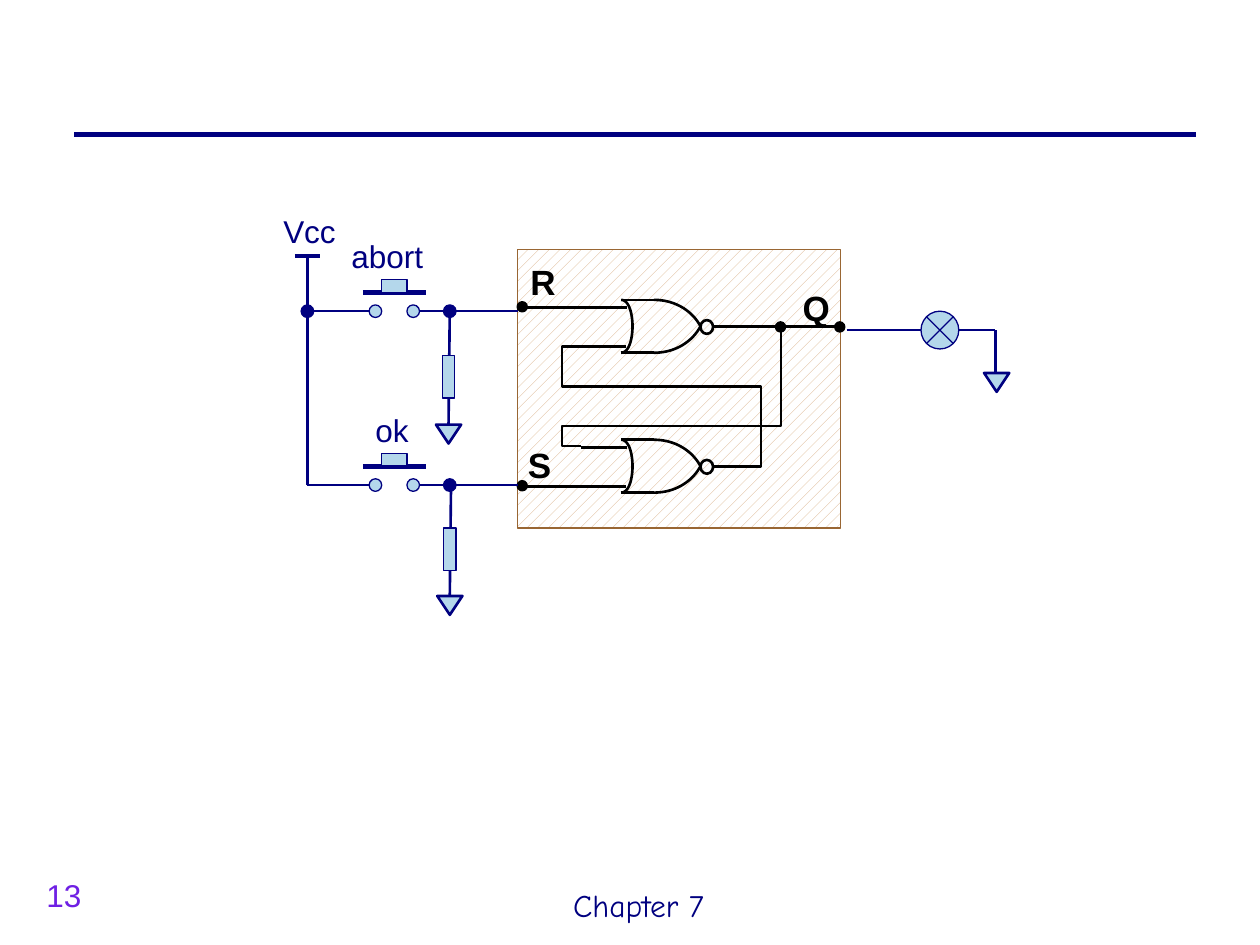
"""Build a slide with an SR latch circuit driven by the abort and ok buttons."""
from dataclasses import dataclass

from lxml.etree import SubElement
from pptx import Presentation
from pptx.dml.color import RGBColor
from pptx.enum.dml import MSO_PATTERN
from pptx.enum.shapes import MSO_CONNECTOR, MSO_SHAPE
from pptx.oxml.ns import qn
from pptx.util import Inches, Pt


@dataclass(frozen=True)
class Theme:
    navy: RGBColor = RGBColor.from_string("000080")
    black: RGBColor = RGBColor.from_string("000000")
    white: RGBColor = RGBColor.from_string("FFFFFF")
    purple: RGBColor = RGBColor.from_string("6F20E4")
    light_blue: RGBColor = RGBColor.from_string("B4D7EB")
    brown: RGBColor = RGBColor.from_string("996633")
    tan: RGBColor = RGBColor.from_string("D5A97D")
    body_font: str = "Arial"
    footer_font: str = "Comic Neue"
    label_size: int = 18
    pin_size: int = 20
    thin: float = 0.75
    wire: float = 1.5
    rail: float = 2.25
    thick: float = 3


theme = Theme()


def add_line(shapes, start_x, start_y, end_x, end_y, color, width=theme.wire):
    connector = shapes.add_connector(
        MSO_CONNECTOR.STRAIGHT, Inches(start_x), Inches(start_y), Inches(end_x), Inches(end_y)
    )
    connector.line.color.rgb = color
    connector.line.width = Pt(width)
    SubElement(connector._element.spPr, qn("a:effectLst"))


def add_part(shapes, kind, left, top, width, height, fill, color, line_width=theme.thin):
    shape = shapes.add_shape(kind, Inches(left), Inches(top), Inches(width), Inches(height))
    shape.shadow.inherit = False
    if fill is None:
        shape.fill.background()
    else:
        shape.fill.solid()
        shape.fill.fore_color.rgb = fill
    shape.line.color.rgb = color
    shape.line.width = Pt(line_width)
    return shape


presentation = Presentation()
presentation.slide_width = Inches(10)
presentation.slide_height = Inches(7.5)
slide = presentation.slides.add_slide(presentation.slide_layouts[6])
shapes = slide.shapes

add_line(shapes, 0.59, 1.07, 9.49, 1.07, theme.navy, theme.thick)

latch_box = add_part(shapes, MSO_SHAPE.RECTANGLE, 4.11, 1.98, 2.56, 2.21, theme.white, theme.brown)
latch_box.fill.patterned()
latch_box.fill.pattern = MSO_PATTERN.PERCENT_20
latch_box.fill.fore_color.rgb = theme.tan
latch_box.fill.back_color.rgb = theme.white

gate_curves = [
    [(4.93, 0), (5.05, 0), (5.05, 0.42), (4.93, 0.42)],
    [(5.56, 0.21), (5.49, 0.34), (5.35, 0.42), (5.19, 0.42)],
    [(5.19, 0), (5.35, 0), (5.49, 0.08), (5.56, 0.21)],
]
gate_lines = [
    (4.93, 0.06, 4.98, 0.06),
    (4.93, 0.37, 4.97, 0.37),
    (4.93, 0, 5.19, 0),
    (4.93, 0.42, 5.19, 0.42),
    (5.67, 0.21, 5.72, 0.21),
    (4.93, 0.06, 4.61, 0.06),
    (4.93, 0.37, 4.61, 0.37),
    (5.72, 0.21, 5.88, 0.21),
]
curve_steps = 24
outlines = []
for gate_top in (2.38, 3.49):
    gate = shapes.add_group_shape().shapes
    for start_x, start_y, end_x, end_y in gate_lines:
        add_line(gate, start_x, gate_top + start_y, end_x, gate_top + end_y, theme.black)
    for controls in gate_curves:
        points = []
        for step in range(curve_steps + 1):
            t = step / curve_steps
            weights = ((1 - t) ** 3, 3 * t * (1 - t) ** 2, 3 * t**2 * (1 - t), t**3)
            x = sum(weight * control[0] for weight, control in zip(weights, controls))
            y = sum(weight * control[1] for weight, control in zip(weights, controls))
            points.append((x, gate_top + y))
        outlines.append((gate, points))
    add_part(gate, MSO_SHAPE.OVAL, 5.56, gate_top + 0.16, 0.1, 0.11, None, theme.black, theme.wire)

outlines += [
    (shapes, [(4.61, 2.75), (4.46, 2.75), (4.46, 3.07), (6.04, 3.07), (6.04, 3.7), (5.88, 3.7)]),
    (shapes, [(4.61, 3.54), (4.46, 3.54), (4.46, 3.38), (6.2, 3.38), (6.2, 2.59)]),
]
for container, points in outlines:
    corners = [(Inches(x), Inches(y)) for x, y in points]
    builder = container.build_freeform(*corners[0])
    builder.add_line_segments(corners[1:], close=False)
    outline = builder.convert_to_shape()
    outline.shadow.inherit = False
    outline.fill.background()
    outline.line.color.rgb = theme.black
    outline.line.width = Pt(theme.wire)

latch_wires = [
    (4.61, 3.86, 4.14, 3.86),
    (4.61, 2.44, 4.14, 2.44),
    (6.2, 2.59, 5.88, 2.59),
    (6.67, 2.59, 6.2, 2.59),
]
for wire in latch_wires:
    add_line(shapes, *wire, theme.black)
for left, top in ((4.11, 3.82), (4.11, 2.4), (6.63, 2.56), (6.16, 2.56)):
    add_part(shapes, MSO_SHAPE.OVAL, left, top, 0.07, 0.07, theme.black, theme.black, theme.wire)

outer_wires = [
    (2.44, 3.85, 2.44, 2.03),
    (3.57, 4.73, 3.58, 3.83),
    (3.56, 3.37, 3.57, 2.46),
    (6.72, 2.62, 7.31, 2.62),
    (7.61, 2.62, 7.9, 2.62),
    (7.9, 2.62, 7.9, 2.96),
]
for wire in outer_wires:
    add_line(shapes, *wire, theme.navy)
add_line(shapes, 2.34, 2.03, 2.54, 2.03, theme.navy, theme.rail)

for wire_y in (2.47, 3.85):
    add_line(shapes, 2.44, wire_y, 2.93, wire_y, theme.navy)
    add_line(shapes, 3.33, wire_y, 4.11, wire_y, theme.navy)
    button = shapes.add_group_shape().shapes
    for contact_left in (2.93, 3.23):
        add_part(button, MSO_SHAPE.OVAL, contact_left, wire_y - 0.05, 0.1, 0.1, theme.light_blue, theme.navy)
    add_line(button, 2.88, wire_y - 0.15, 3.38, wire_y - 0.15, theme.navy, theme.thick)
    add_part(button, MSO_SHAPE.RECTANGLE, 3.03, wire_y - 0.25, 0.2, 0.1, theme.light_blue, theme.navy)

for left, top in ((2.39, 2.42), (3.52, 2.42), (3.52, 3.8)):
    add_part(shapes, MSO_SHAPE.OVAL, left, top, 0.1, 0.1, theme.navy, theme.navy)
for left, top in ((3.51, 2.82), (3.52, 4.19)):
    add_part(shapes, MSO_SHAPE.RECTANGLE, left, top, 0.1, 0.34, theme.light_blue, theme.navy)
for left, top in ((3.46, 3.37), (3.47, 4.73), (7.81, 2.96)):
    ground = add_part(
        shapes, MSO_SHAPE.ISOSCELES_TRIANGLE, left, top, 0.2, 0.15, theme.light_blue, theme.navy, theme.wire
    )
    ground.rotation = 180
add_part(shapes, MSO_SHAPE.FLOWCHART_SUMMING_JUNCTION, 7.31, 2.47, 0.3, 0.3, theme.light_blue, theme.navy)

labels = [
    ("Chapter 7", 4.45, 6.98, 1.42, 0.4, theme.footer_font, theme.navy, False),
    ("13", 0.27, 6.9, 0.71, 0.4, theme.body_font, theme.purple, False),
    ("Vcc", 2.15, 1.63, 0.64, 0.4, theme.body_font, theme.navy, False),
    ("abort", 2.69, 1.83, 0.84, 0.4, theme.body_font, theme.navy, False),
    ("ok", 2.88, 3.21, 0.49, 0.4, theme.body_font, theme.navy, False),
    ("R", 4.21, 2.07, 0.2, 0.33, theme.body_font, theme.black, True),
    ("S", 4.19, 3.52, 0.19, 0.33, theme.body_font, theme.black, True),
    ("Q", 6.37, 2.27, 0.22, 0.33, theme.body_font, theme.black, True),
]
for text, left, top, width, height, font_name, color, is_pin in labels:
    text_box = shapes.add_textbox(Inches(left), Inches(top), Inches(width), Inches(height))
    frame = text_box.text_frame
    frame.word_wrap = not is_pin
    if is_pin:
        frame.margin_left = frame.margin_right = frame.margin_top = frame.margin_bottom = Inches(0)
    run = frame.paragraphs[0].add_run()
    run.text = text
    run.font.name = font_name
    run.font.size = Pt(theme.pin_size if is_pin else theme.label_size)
    run.font.bold = is_pin
    run.font.color.rgb = color

presentation.save("out.pptx")
